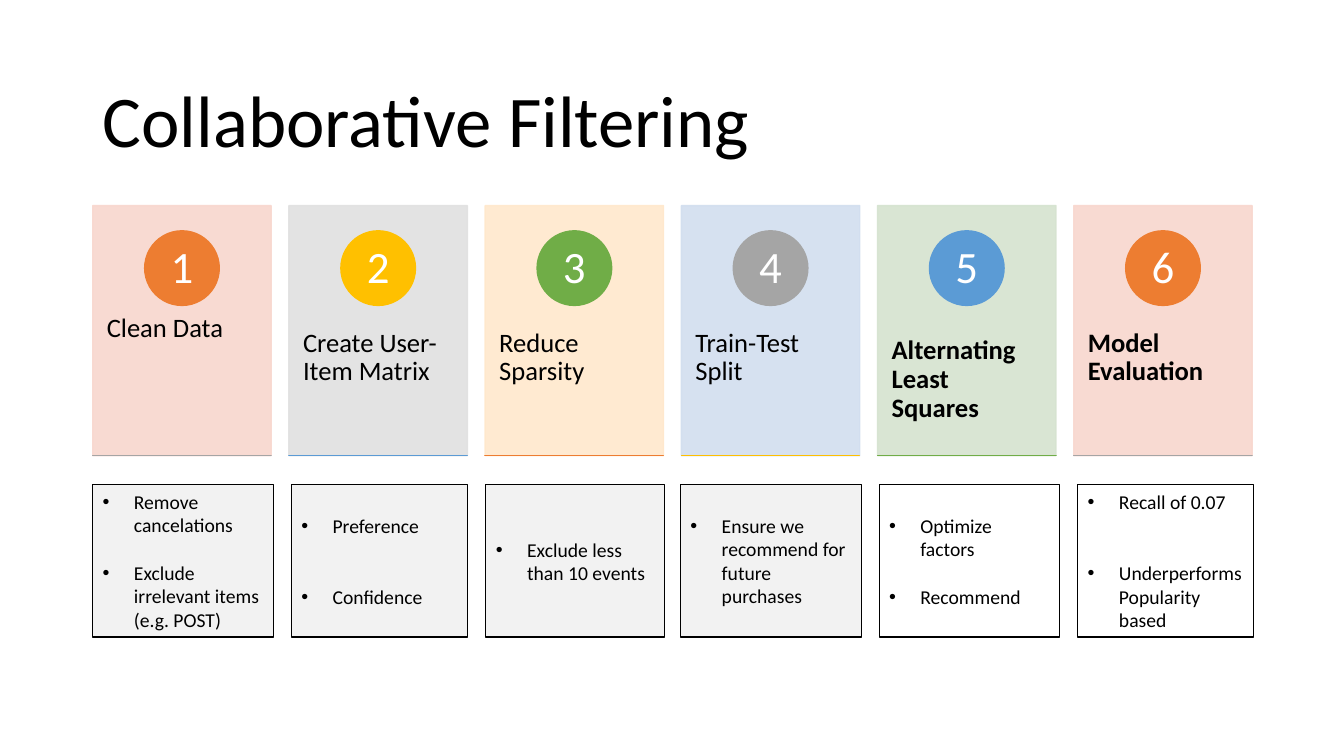
import pptx
import pptx.dml.color
import pptx.enum.shapes
import pptx.enum.text
import pptx.oxml.ns
import pptx.util
from lxml import etree
from pptx.util import Inches

COLORS = {
    "black": "000000", "white": "FFFFFF", "pale": "F2F2F2",
    "orange": "ED7D31", "gold": "FFC000", "green": "70AD47", "grey": "A5A5A5", "blue": "5B9BD5",
    "light_red": "F8D7CE", "light_grey": "E1E1E1", "light_orange": "FFE8CC",
    "light_blue": "D2DEEF", "light_green": "D5E3CF",
}
FONT = "Calibri"
LINE_HEIGHT = 0.237
CARD_LEFT, CARD_TOP, CARD_WIDTH, CARD_HEIGHT, CARD_PITCH = 0.92, 2.04, 1.77, 2.48, 1.946
NOTE_TOP, NOTE_HEIGHT = 4.81, 1.51

# label, bold, card colour, circle colour, rule colour
STEPS = [
    ("Clean Data", False, "light_red", "orange", "grey"),
    ("Create User-Item Matrix", False, "light_grey", "gold", "blue"),
    ("Reduce Sparsity", False, "light_orange", "green", "orange"),
    ("Train-Test Split", False, "light_blue", "grey", "gold"),
    ("Alternating Least Squares", True, "light_green", "blue", "green"),
    ("Model Evaluation", True, "light_red", "orange", "grey"),
]
# left, width, fill, bullets with the number of free lines above each
NOTES = [
    (0.92, 1.79, "pale", [("Remove cancelations", 0), ("Exclude irrelevant items (e.g. POST)", 1)]),
    (2.89, 1.75, "pale", [("Preference", 1), ("Confidence", 2)]),
    (4.82, 1.77, "pale", [("Exclude less than 10 events", 2)]),
    (6.75, 1.79, "pale", [("Ensure we recommend for future purchases", 1)]),
    (8.72, 1.79, None, [("Optimize factors", 1), ("Recommend", 1)]),
    (10.69, 1.74, None, [("Recall of 0.07", 0), ("Underperforms Popularity based", 2)]),
]


def rgb(name):
    """Return the named colour."""
    return pptx.dml.color.RGBColor.from_string(COLORS[name])


def add_shape(slide, kind, box, fill, line, line_width=1, opacity=100):
    """Add a flat preset shape in the box (left, top, width, height)."""
    shape = slide.shapes.add_shape(kind, *map(Inches, box))
    shape.shadow.inherit = False
    if fill:
        shape.fill.solid()
        shape.fill.fore_color.rgb = rgb(fill)
    else:
        shape.fill.background()
    shape.line.color.rgb = rgb(line)
    shape.line.width = pptx.util.Pt(line_width)
    if opacity < 100:
        for color in shape._element.spPr.iter(pptx.oxml.ns.qn("a:srgbClr")):
            etree.SubElement(color, pptx.oxml.ns.qn("a:alpha"), val=str(opacity * 1000))
    return shape


def set_insets(frame, horizontal, vertical):
    """Set the left and right, then the top and bottom insets."""
    frame.margin_left = frame.margin_right = Inches(horizontal)
    frame.margin_top = frame.margin_bottom = Inches(vertical)


def format_paragraph(paragraph, size, color="black", bold=False):
    """Format every run of a paragraph."""
    for run in paragraph.runs:
        run.font.name = FONT
        run.font.size = pptx.util.Pt(size)
        run.font.bold = bold
        run.font.color.rgb = rgb(color)


def add_text(slide, box, text, size, color="black", bold=False, insets=(0.1, 0.05), middle=False):
    """Add a wrapped one-paragraph text box and return its paragraph."""
    frame = slide.shapes.add_textbox(*map(Inches, box)).text_frame
    frame.word_wrap = True
    anchors = pptx.enum.text.MSO_ANCHOR
    frame.vertical_anchor = anchors.MIDDLE if middle else anchors.TOP
    set_insets(frame, *insets)
    frame.text = text
    paragraph = frame.paragraphs[0]
    paragraph.line_spacing = 0.9
    format_paragraph(paragraph, size, color, bold)
    return paragraph


def add_step(slide, box, number, step):
    """Draw a step card with its numbered circle, label and bottom rule."""
    left, top, width, height = box
    label, bold, card, circle, rule = step
    shapes = pptx.enum.shapes.MSO_SHAPE
    add_shape(slide, shapes.RECTANGLE, box, card, card, opacity=90)
    add_text(slide, (left, top + 0.94, width, 1.49), label, 19, bold=bold, insets=(0.14, 0.36))
    diameter, digit = 0.74, 0.53
    add_shape(slide, shapes.OVAL,
              (left + (width - diameter) / 2, top + 0.25, diameter, diameter), circle, circle)
    paragraph = add_text(slide, (left + (width - digit) / 2, top + 0.36, digit, digit),
                         str(number), 32, "white", insets=(0.06, 0.01), middle=True)
    paragraph.alignment = pptx.enum.text.PP_ALIGN.CENTER
    add_shape(slide, shapes.RECTANGLE, (left, top + height, width, 0), rule, rule)


def add_note(slide, box, fill, bullets):
    """Draw a bordered box with bullets."""
    shape = add_shape(slide, pptx.enum.shapes.MSO_SHAPE.RECTANGLE, box, fill, "black", 0.75)
    frame = shape.text_frame
    frame.word_wrap = True
    frame.vertical_anchor = pptx.enum.text.MSO_ANCHOR.TOP
    set_insets(frame, 0.1, 0.05)
    frame.margin_top = Inches(0.05 + bullets[0][1] * LINE_HEIGHT)
    frame.text = "\n".join(text for text, _ in bullets)
    for index, paragraph in enumerate(frame.paragraphs):
        paragraph.alignment = pptx.enum.text.PP_ALIGN.LEFT
        if index:
            paragraph.space_before = Inches(bullets[index][1] * LINE_HEIGHT)
        format_paragraph(paragraph, 14)
        properties = paragraph._p.get_or_add_pPr()
        properties.set("marL", str(Inches(0.31)))
        properties.set("indent", str(Inches(-0.31)))
        etree.SubElement(properties, pptx.oxml.ns.qn("a:buFont"), typeface="Arial")
        etree.SubElement(properties, pptx.oxml.ns.qn("a:buChar"), char="•")


def build_process_slide(presentation):
    """Build the slide with its title, six step cards and notes."""
    slide = presentation.slides.add_slide(presentation.slide_layouts[6])
    add_text(slide, (0.92, 0.61, 11.5, 1.24), "Collaborative Filtering", 52, middle=True)
    for index, step in enumerate(STEPS):
        left = CARD_LEFT + index * CARD_PITCH
        add_step(slide, (left, CARD_TOP, CARD_WIDTH, CARD_HEIGHT), index + 1, step)
    for left, width, fill, bullets in NOTES:
        add_note(slide, (left, NOTE_TOP, width, NOTE_HEIGHT), fill, bullets)


def main():
    """Create the presentation and save it."""
    presentation = pptx.Presentation()
    presentation.slide_width = Inches(13.33)
    presentation.slide_height = Inches(7.5)
    build_process_slide(presentation)
    presentation.save("out.pptx")


if __name__ == "__main__":
    main()
